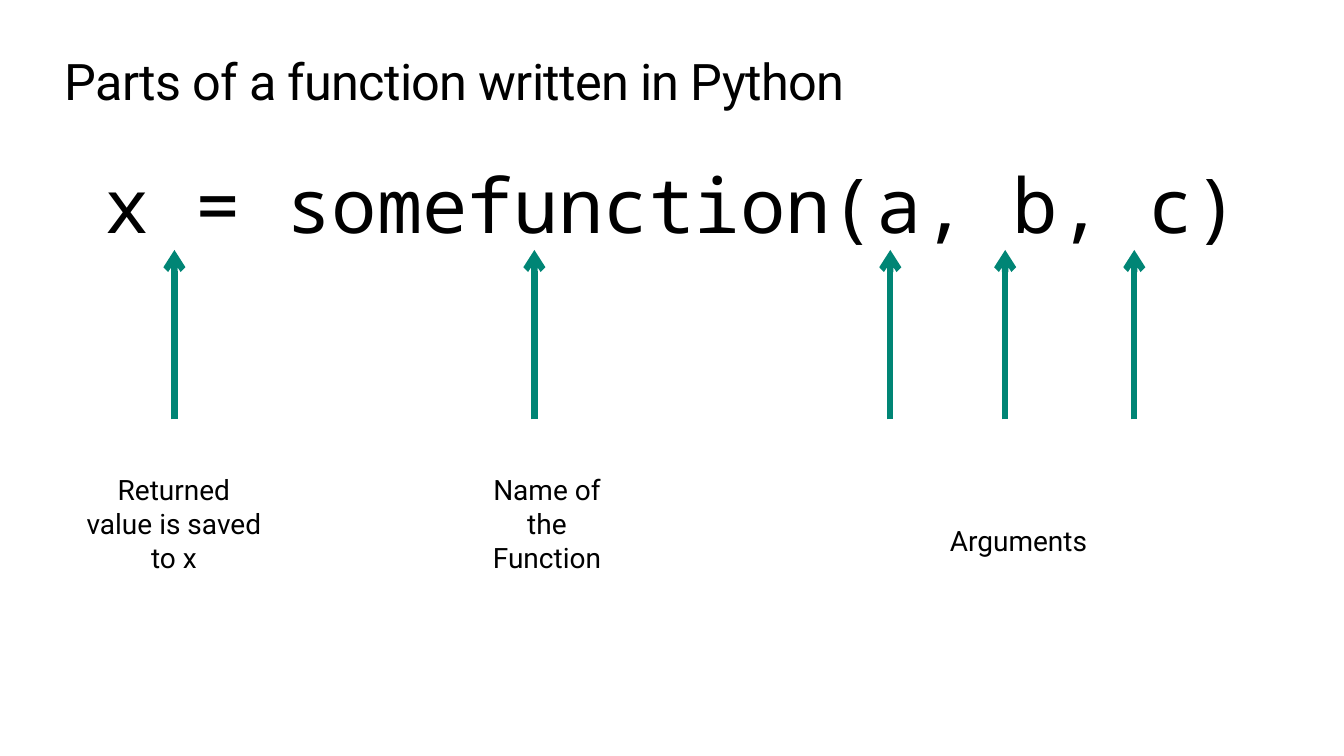
from dataclasses import dataclass

from lxml import etree
from pptx import Presentation
from pptx.dml.color import RGBColor
from pptx.enum.shapes import MSO_CONNECTOR
from pptx.enum.text import MSO_AUTO_SIZE, PP_ALIGN
from pptx.oxml.ns import qn
from pptx.slide import Slide
from pptx.util import Inches, Pt

STRAIGHT = MSO_CONNECTOR.STRAIGHT
LEFT, CENTER = PP_ALIGN.LEFT, PP_ALIGN.CENTER
FIT_SHAPE = MSO_AUTO_SIZE.SHAPE_TO_FIT_TEXT

COLORS = {"text": "000000", "arrow": "008575", "background": "FFFFFF"}
SANS, MONO = "Roboto", "Noto Sans Mono"

ARROW_BOTTOM, ARROW_TOP = 4.16, 2.48
ARROW_XS = (1.73, 5.3, 8.83, 9.97, 11.25)


@dataclass(frozen=True)
class Label:
    text: str
    left: float
    top: float
    width: float
    height: float
    size: float = 20
    font: str = SANS
    align: PP_ALIGN = CENTER
    spacing: float = 0  # between letters, in points


LABELS = (
    Label("Parts of a function written in Python", 0.64, 0.5, 12.05, 0.61,
          size=36, align=LEFT, spacing=-0.5),
    Label("x = somefunction(a, b, c)", 0.64, 1.57, 12.05, 1, size=54, font=MONO),
    Label("Returned value is saved to x", 0.82, 4.69, 1.81, 1.01),
    Label("Name of the Function", 4.67, 4.69, 1.51, 1.01),
    Label("Arguments", 9.42, 5.19, 1.51, 0.34, align=LEFT),
)


def add_label(s: Slide, label: Label) -> None:
    box = s.shapes.add_textbox(Inches(label.left), Inches(label.top),
                               Inches(label.width), Inches(label.height))
    tf = box.text_frame
    tf.word_wrap = True
    tf.auto_size = FIT_SHAPE
    tf.margin_left = tf.margin_top = tf.margin_right = tf.margin_bottom = 0
    p = tf.paragraphs[0]
    p.alignment = label.align
    r = p.add_run()
    r.text = label.text
    r.font.name = label.font
    r.font.size = Pt(label.size)
    r.font.color.rgb = RGBColor.from_string(COLORS["text"])
    if label.spacing:
        r.font._element.set("spc", str(round(label.spacing * 100)))


def add_up_arrow(s: Slide, x: float) -> None:
    sp = s.shapes.add_connector(STRAIGHT, Inches(x), Inches(ARROW_BOTTOM),
                                Inches(x), Inches(ARROW_TOP))
    sp.line.width = Pt(4.5)
    sp.line.color.rgb = RGBColor.from_string(COLORS["arrow"])
    etree.SubElement(sp.line._get_or_add_ln(), qn("a:tailEnd"), type="arrow")
    etree.SubElement(sp._element.spPr, qn("a:effectLst"))


def main() -> None:
    prs = Presentation()
    prs.slide_width, prs.slide_height = Inches(13.33), Inches(7.5)
    s = prs.slides.add_slide(prs.slide_layouts[6])
    s.background.fill.solid()
    s.background.fill.fore_color.rgb = RGBColor.from_string(COLORS["background"])
    for x in ARROW_XS:
        add_up_arrow(s, x)
    for label in LABELS:
        add_label(s, label)
    prs.save("out.pptx")


if __name__ == "__main__":
    main()
